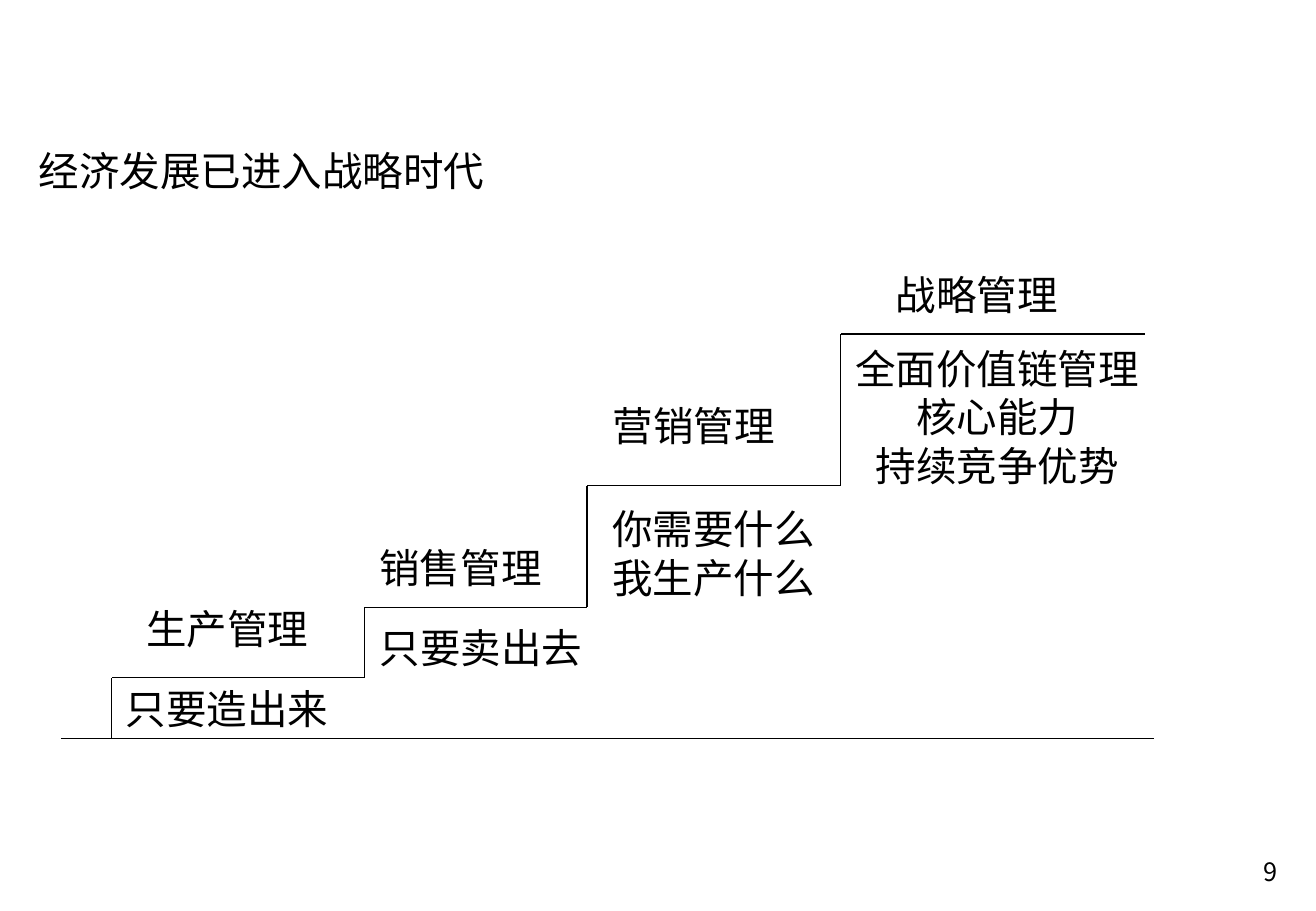
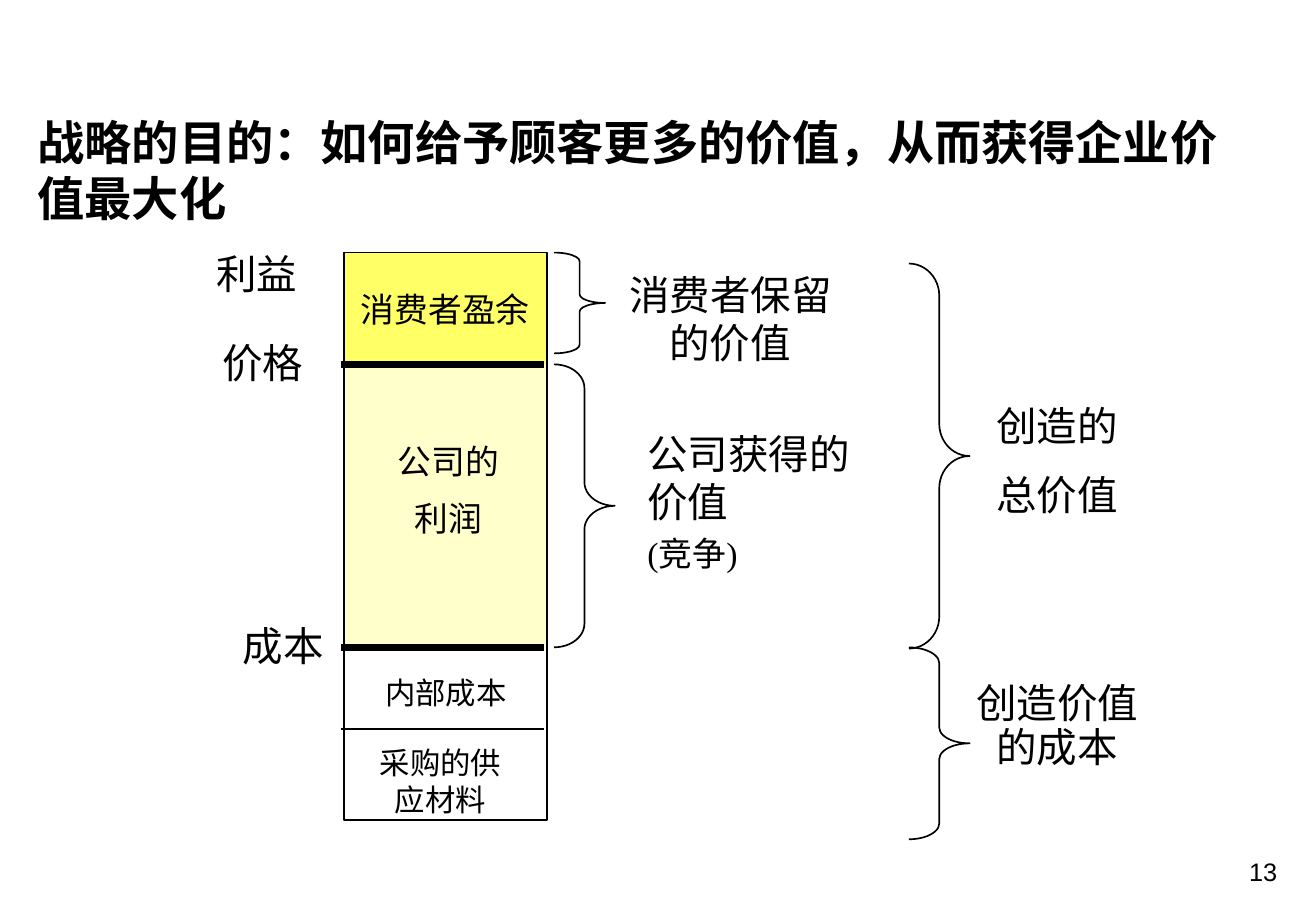
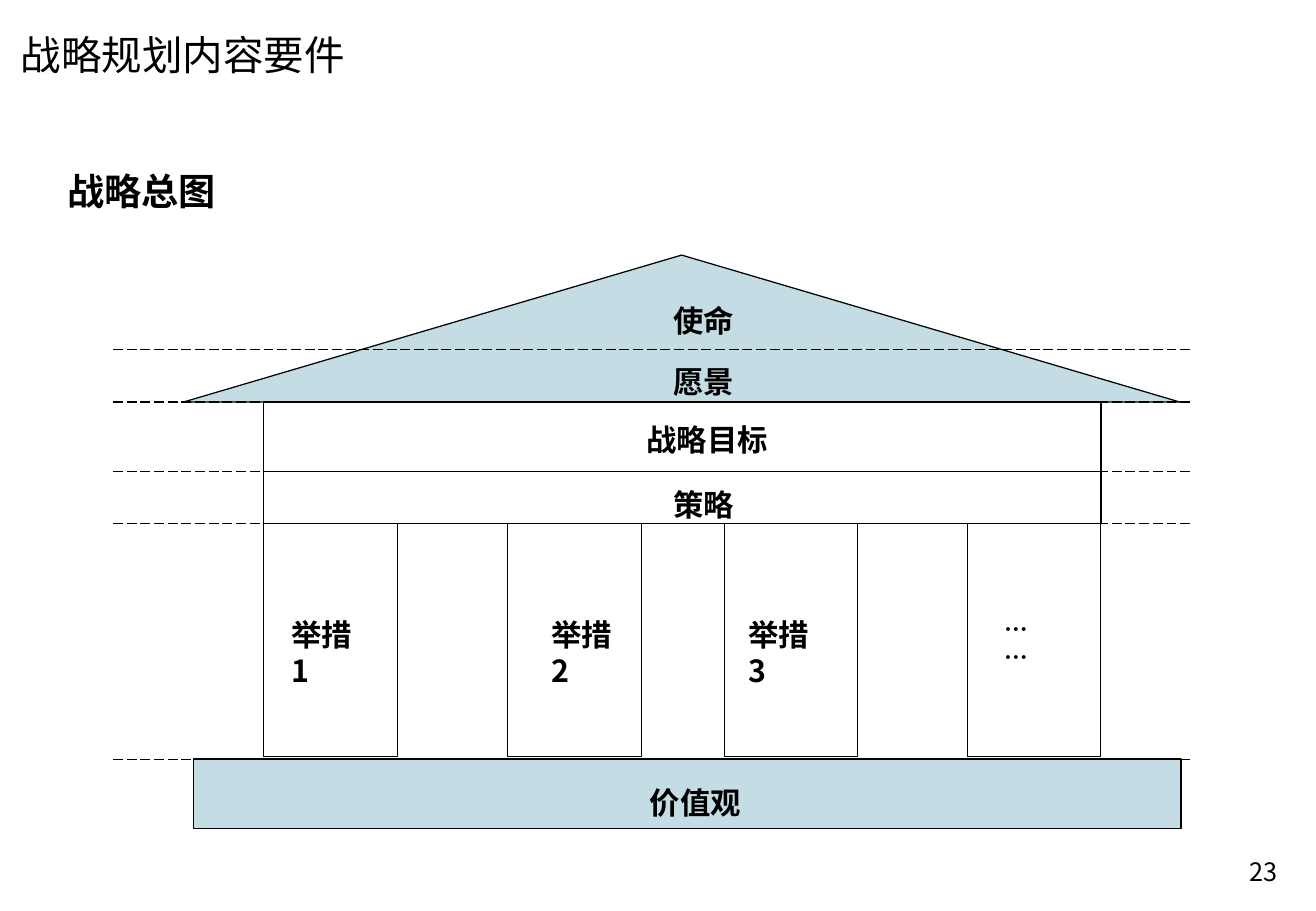
from dataclasses import dataclass
from itertools import pairwise

from lxml.etree import SubElement
from pptx import Presentation
from pptx.dml.color import RGBColor as Rgb
from pptx.enum.dml import MSO_LINE as Dash
from pptx.enum.shapes import MSO_CONNECTOR as Conn, MSO_SHAPE as Form
from pptx.enum.text import MSO_ANCHOR as Anchor, MSO_AUTO_SIZE as Fit, PP_ALIGN as Align
from pptx.oxml.ns import qn
from pptx.util import Inches, Pt


@dataclass(frozen=True)
class Theme:
    ink: Rgb = Rgb.from_string("000000")
    white: Rgb = Rgb.from_string("FFFFFF")
    blue: Rgb = Rgb.from_string("C4DDE5")
    gold: Rgb = Rgb.from_string("FFFF66")
    cream: Rgb = Rgb.from_string("FFFFCC")
    hei: str = "Noto Sans CJK SC"
    sans: str = "Arial"
    serif: str = "Times New Roman"
    head: int = 28
    main: int = 24
    sub: int = 22
    mid: int = 20
    small: int = 18
    page: int = 15
    dots: int = 14
    thin: float = 0.75
    edge: float = 1
    bold: float = 4.5


look = Theme()


def write(shape, at, text, size, font, align=Align.LEFT, bold=False, wrap=True,
          anchor=Anchor.TOP, gap=0, lead=1.0, last=None):
    """Place a shape and set its text; gap is the share of the size left between paragraphs."""
    for key, val in zip(("left", "top", "width", "height"), at):
        setattr(shape, key, Inches(val))
    frame = shape.text_frame
    frame.text = text
    inset = {"margin_left": 0.1, "margin_right": 0.1, "margin_top": 0.05, "margin_bottom": 0.05}
    form = {"auto_size": Fit.NONE, "word_wrap": wrap, "vertical_anchor": anchor}
    form |= {key: Inches(val) for key, val in inset.items()}
    for key, val in form.items():
        setattr(frame, key, val)
    for num, para in enumerate(frame.paragraphs):
        pts = last if num and last else size
        for key, val in {"alignment": align, "line_spacing": lead,
                         "space_before": Pt(pts * gap if num else 0)}.items():
            setattr(para, key, val)
        for run in para.runs:
            for key, val in {"size": Pt(pts), "name": font, "bold": bold}.items():
                setattr(run.font, key, val)
            run.font.color.rgb = look.ink
            SubElement(run.font._element, qn("a:ea"), typeface=look.hei)


def draw(slide, kind, at, fill=None, width=None, bend=None, dash=None):
    """Add a preset shape (left, top, width, height) or a line (from x, y, to x, y)."""
    spot = [Inches(val) for val in at]
    if kind is Conn.STRAIGHT:
        item = slide.shapes.add_connector(kind, *spot)
        SubElement(item._element.spPr, qn("a:effectLst"))
    else:
        item = slide.shapes.add_shape(kind, *spot)
        item.shadow.inherit = False
        if fill:
            item.fill.solid()
            item.fill.fore_color.rgb = fill
        else:
            item.fill.background()
    if width:
        item.line.color.rgb = look.ink
        item.line.width = Pt(width)
    else:
        item.line.fill.background()
    if dash:
        item.line.dash_style = dash
    if bend:
        item.adjustments[0] = bend
    return item


deck = Presentation()
deck.slide_width, deck.slide_height = Inches(10.83), Inches(7.5)

# Titles and page numbers
heads = [
    ("经济发展已进入战略时代", (0.22, 1.15, 3.9, 0.5), look.main, False, "9", look.hei),
    ("战略的目的：如何给予顾客更多的价值，从而获得企业价值最大化",
     (0.21, 0.88, 10.25, 1.04), look.head, True, "13", look.sans),
    ("战略规划内容要件", (0.07, 0.2, 2.89, 0.5), look.main, False, "23", look.hei),
]
slides = []
for text, at, size, bold, page, font in heads:
    slide = deck.slides.add_slide(deck.slide_layouts[5])
    write(slide.shapes.title, at, text, size, look.hei, bold=bold, wrap=bold)
    write(slide.shapes.add_textbox(0, 0, 0, 0), (8.08, 7, 2.53, 0.35), page,
          look.page, font, Align.RIGHT)
    slides.append(slide)
stairs, value, house = slides

# Stairs: ground line, then each riser and tread
corners = [(0.92, 6.08)]
for left, top, right in [(0.92, 5.58, 3), (3, 5, 4.83), (4.83, 4, 6.92), (6.92, 2.75, 9.42)]:
    corners += [(left, top), (right, top)]
lines = [pair for pair in pairwise(corners) if pair[0] != pair[1]]
for start, end in [((0.5, 6.08), (9.5, 6.08)), *lines]:
    draw(stairs, Conn.STRAIGHT, start + end, width=look.thin)

# Stairs: stage above each tread, motto below it
steps = [
    ("生产管理", 0.83, 4.92, "只要造出来", (0.83, 5.58, 2.08, 0.5)),
    ("销售管理", 2.75, 4.42, "只要卖出去", (2.92, 5.08, 2.08, 0.5)),
    ("营销管理", 4.67, 3.25, "你需要什么我生产什么", (4.83, 4.1, 2.08, 0.9)),
    ("战略管理", 7, 2.17, "全面价值链管理核心能力\n持续竞争优势", (6.83, 2.78, 2.75, 1.7)),
]
for stage, left, top, motto, at in steps:
    for text, spot in [(stage, (left, top, 2.08, 0.5)), (motto, at)]:
        write(stairs.shapes.add_textbox(0, 0, 0, 0), spot, text, look.main, look.sans,
              Align.CENTER)

# Value: stacked bar and its dividers
bar, wide = 2.83, 1.67
surplus = (bar, 2.08, wide, 0.92)
block = draw(value, Form.RECTANGLE, surplus, look.gold)
write(block, surplus, "消费者盈余", look.mid, look.serif, Align.CENTER, wrap=False,
      anchor=Anchor.MIDDLE)
draw(value, Form.RECTANGLE, (bar, 3, wide, 2.33), look.cream)
draw(value, Form.RECTANGLE, (bar, 2.08, wide, 4.67), width=look.edge)
for top, width in [(3, look.bold), (5.33, look.bold), (6, look.edge)]:
    draw(value, Conn.STRAIGHT, (2.81, top, 4.48, top), width=width)

# Value: braces
for left, top, width, high, bend in [(4.56, 2.08, 0.42, 0.83, 0.17), (4.56, 3, 0.5, 2.33, 0.39),
                                     (7.48, 2.17, 0.5, 3.17, 0.53), (7.48, 5.33, 0.5, 1.58, 0.26)]:
    draw(value, Form.RIGHT_BRACE, (left, top, width, high), width=look.edge, bend=bend)

# Value: labels
mid = {"align": Align.CENTER}
labels = [
    ("利益", (1.68, 2, 1.75, 0.5), look.main, {}),
    ("价格", (1.73, 2.73, 0.88, 0.5), look.main, {"wrap": False}),
    ("成本", (1.9, 5.06, 0.88, 0.5), look.main, {"wrap": False}),
    ("公司的\n利润", (2.9, 3.58, 1.58, 0.93), look.mid, mid | {"gap": 0.5}),
    ("内部成本", (3.07, 5.5, 1.2, 0.4), look.small,
     mid | {"wrap": False, "anchor": Anchor.MIDDLE}),
    ("采购的供应材料", (2.98, 6.08, 1.29, 0.7), look.small, mid | {"anchor": Anchor.MIDDLE}),
    ("消费者保留的价值", (4.98, 2.17, 2.06, 0.9), look.main, mid),
    ("公司获得的价值\n(竞争)", (5.23, 3.48, 1.92, 1.3), look.main,
     {"gap": 0.2, "last": look.mid}),
    ("创造的\n总价值", (7.67, 3.25, 2.06, 1.1), look.main, mid | {"gap": 0.5}),
    ("创造价值\n的成本", (7.67, 5.58, 2.06, 0.82), look.main, mid | {"lead": 0.9}),
]
for text, at, size, form in labels:
    write(value.shapes.add_textbox(0, 0, 0, 0), at, text, size, look.serif, **form)

# House: roof, beams, pillars and base
wall, span = 2.17, 6.89
parts = [
    (Form.ISOSCELES_TRIANGLE, (1.51, 2.1, 8.2, 1.21), look.blue),
    (Form.RECTANGLE, (wall, 3.31, span, 0.57), look.white),
    (Form.RECTANGLE, (wall, 3.88, span, 0.43), look.white),
    (Form.RECTANGLE, (1.59, 6.25, 8.13, 0.57), look.blue),
]
parts += [(Form.RECTANGLE, (left, 4.31, 1.1, 1.92), look.white)
          for left in (wall, 4.18, 5.96, 7.96)]
for kind, at, fill in parts:
    draw(house, kind, at, fill, look.thin)
for top in (2.88, 3.31, 3.88, 4.31, 6.25):
    draw(house, Conn.STRAIGHT, (0.93, top, 9.82, top), width=look.thin, dash=Dash.LONG_DASH)

# House: labels
write(house.shapes.add_textbox(0, 0, 0, 0), (0.46, 1.15, 9.34, 5.31), "战略总图",
      look.sub, look.hei, bold=True, lead=1.5)
names = [
    ("使命", 5.44, 2.44, 0.71, False), ("愿景", 5.44, 2.94, 0.71, False),
    ("战略目标", 5.22, 3.42, 1.21, False), ("策略", 5.44, 3.95, 0.71, False),
    ("价值观", 5.25, 6.41, 0.96, False), ("举措1", 2.3, 5.02, 0.8, True),
    ("举措2", 4.44, 5.02, 0.8, True), ("举措3", 6.06, 5.02, 0.8, True),
]
for text, left, top, width, wrap in names:
    write(house.shapes.add_textbox(0, 0, 0, 0), (left, top, width, 0.4), text,
          look.small, look.hei, bold=True, wrap=wrap)
write(house.shapes.add_textbox(0, 0, 0, 0), (8.17, 5.01, 0.58, 0.34), "……",
      look.dots, look.hei, bold=True)

deck.save("out.pptx")
